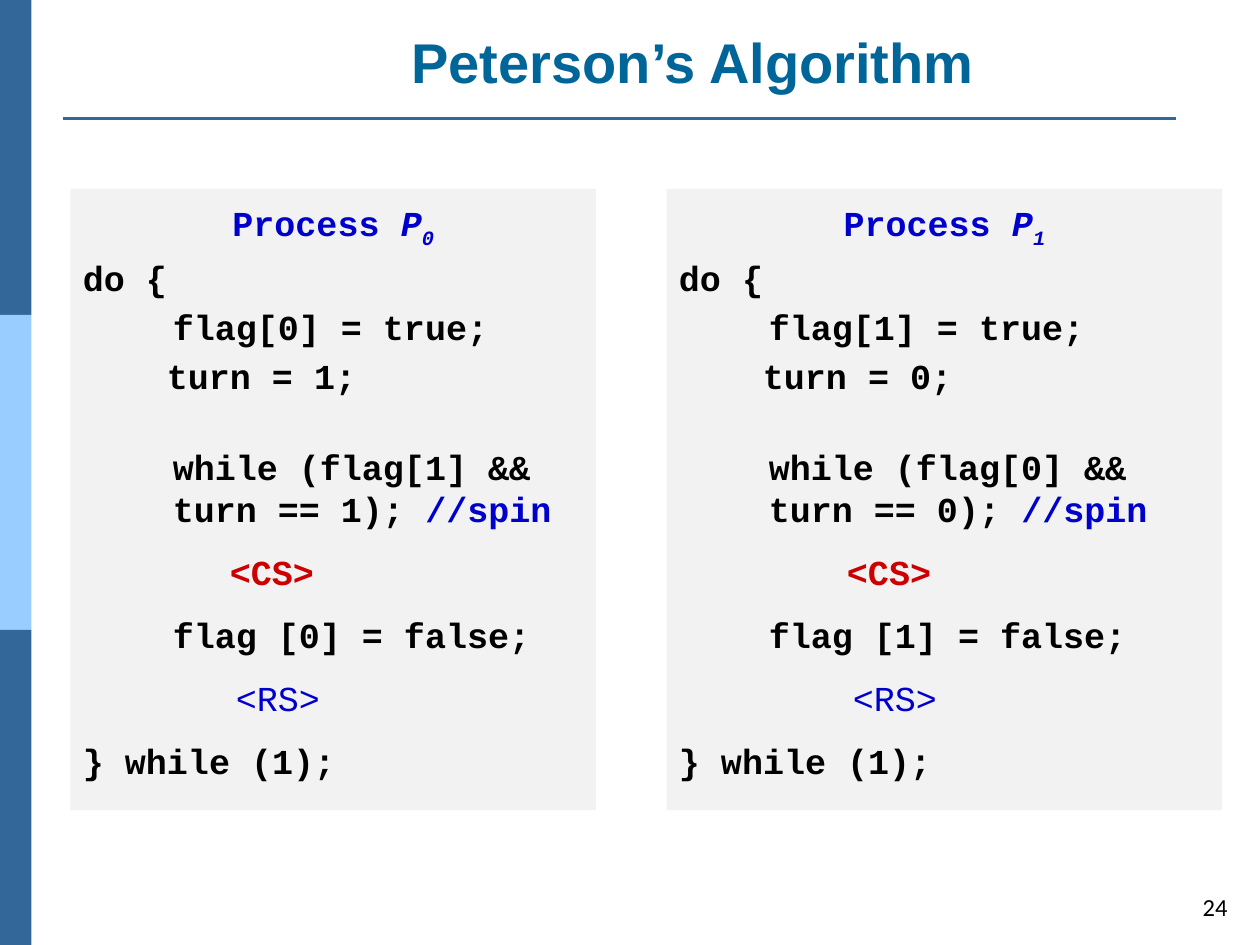
import dataclasses
import typing

import pptx
import pptx.dml.color
import pptx.enum.shapes
import pptx.enum.text
import pptx.oxml.ns
import pptx.util
from lxml import etree

Inches = pptx.util.Inches
Pt = pptx.util.Pt
Align = pptx.enum.text.PP_ALIGN
Anchor = pptx.enum.text.MSO_ANCHOR
CHAR = 1 / 6
STEP = 0.38
DEEP = "336699"
BLUE = "0000CC"
BLACK = "000000"


@dataclasses.dataclass
class Line:
    text: str
    left: float = 0
    gap: float = 4
    color: str = BLACK
    bold: bool = True
    note: str = ""


@dataclasses.dataclass
class Panel:
    left: float
    width: float
    own: int
    shift: int


def rgb(code: str) -> pptx.dml.color.RGBColor:
    return pptx.dml.color.RGBColor.from_string(code)


def style(para: typing.Any, name: str, size: float, color: str, bold: bool) -> None:
    font = para.font
    font.name = name
    font.size = Pt(size)
    font.bold = bold
    font.color.rgb = rgb(color)


def draw_band(slide: typing.Any, top: float, color: str) -> None:
    band = slide.shapes.add_shape(
        pptx.enum.shapes.MSO_SHAPE.RECTANGLE, 0, Inches(top), Inches(0.25), Inches(2.5))
    band.shadow.inherit = False
    band.fill.solid()
    band.fill.fore_color.rgb = rgb(color)
    band.line.fill.background()


def draw_rule(slide: typing.Any) -> None:
    rule = slide.shapes.add_connector(
        pptx.enum.shapes.MSO_CONNECTOR.STRAIGHT,
        Inches(0.5), Inches(0.94), Inches(9.33), Inches(0.94))
    rule.line.color.rgb = rgb(DEEP)
    rule.line.width = Pt(1.5)
    etree.SubElement(rule._element.spPr, pptx.oxml.ns.qn("a:effectLst"))


def code_lines(panel: Panel) -> list[Line]:
    own, peer = panel.own, 1 - panel.own
    body = STEP + 2 * CHAR
    return [
        Line("do {"),
        Line(f"flag[{own}] = true;", body),
        Line(f"turn = {peer};", 4 * CHAR),
        Line(f"while (flag[{peer}] &&\vturn == {peer}); ", body, 28, note="//spin"),
        Line("<CS>", (7 + panel.shift) * CHAR, 12, "CC0000"),
        Line(f"flag [{own}] = false;", body, 12),
        Line("<RS>", STEP + (5 + panel.shift) * CHAR, 12, BLUE, False),
        Line("} while (1);", 0, 12),
    ]


def draw_head(para: typing.Any, own: int) -> None:
    para.alignment = Align.CENTER
    style(para, "Courier New", 20, BLUE, True)
    para.add_run().text = "Process "
    name = para.add_run()
    name.text = "P"
    name.font.italic = True
    index = para.add_run()
    index.text = str(own)
    index.font.italic = True
    index.font._element.set("baseline", "-25000")


def draw_line(para: typing.Any, line: Line) -> None:
    para.text = line.text
    para._p.get_or_add_pPr().set("marL", str(Inches(line.left)))
    para.space_before = Pt(line.gap)
    para.line_spacing = Pt(24)
    style(para, "Courier New", 20, line.color, line.bold)
    if line.note:
        note = para.add_run()
        note.text = line.note
        note.font.color.rgb = rgb(BLUE)


def draw_panel(slide: typing.Any, panel: Panel) -> None:
    box = slide.shapes.add_textbox(
        Inches(panel.left), Inches(1.5), Inches(panel.width), Inches(4.93))
    box.fill.solid()
    box.fill.fore_color.rgb = rgb("F2F2F2")
    frame = box.text_frame
    frame.word_wrap = True
    frame.margin_top = Inches(0.1)
    draw_head(frame.paragraphs[0], panel.own)
    for line in code_lines(panel):
        draw_line(frame.add_paragraph(), line)


def draw_title(slide: typing.Any) -> None:
    title = slide.shapes.title
    title.left, title.top = Inches(1.08), Inches(0.08)
    title.width, title.height = Inches(8.84), Inches(0.72)
    frame = title.text_frame
    frame.text = "Peterson’s Algorithm"
    frame.vertical_anchor = Anchor.BOTTOM
    para = frame.paragraphs[0]
    para.alignment = Align.CENTER
    style(para, "Arial", 32, "006699", True)


def draw_page(slide: typing.Any) -> None:
    box = slide.shapes.add_textbox(Inches(9.39), Inches(6.99), Inches(0.45), Inches(0.41))
    frame = box.text_frame
    frame.word_wrap = True
    frame.vertical_anchor = Anchor.MIDDLE
    para = frame.paragraphs[0]
    para.text = "24"
    para.alignment = Align.RIGHT
    style(para, "Calibri", 14, BLACK, False)


def main() -> None:
    deck = pptx.Presentation()
    deck.slide_width, deck.slide_height = Inches(10), Inches(7.5)
    slide = deck.slides.add_slide(deck.slide_layouts[5])
    for row, color in enumerate((DEEP, "99CCFF", DEEP)):
        draw_band(slide, row * 2.5, color)
    draw_rule(slide)
    for panel in (Panel(0.56, 4.17, 0, 0), Panel(5.29, 4.41, 1, 1)):
        draw_panel(slide, panel)
    draw_page(slide)
    draw_title(slide)
    deck.save("out.pptx")


if __name__ == "__main__":
    main()
